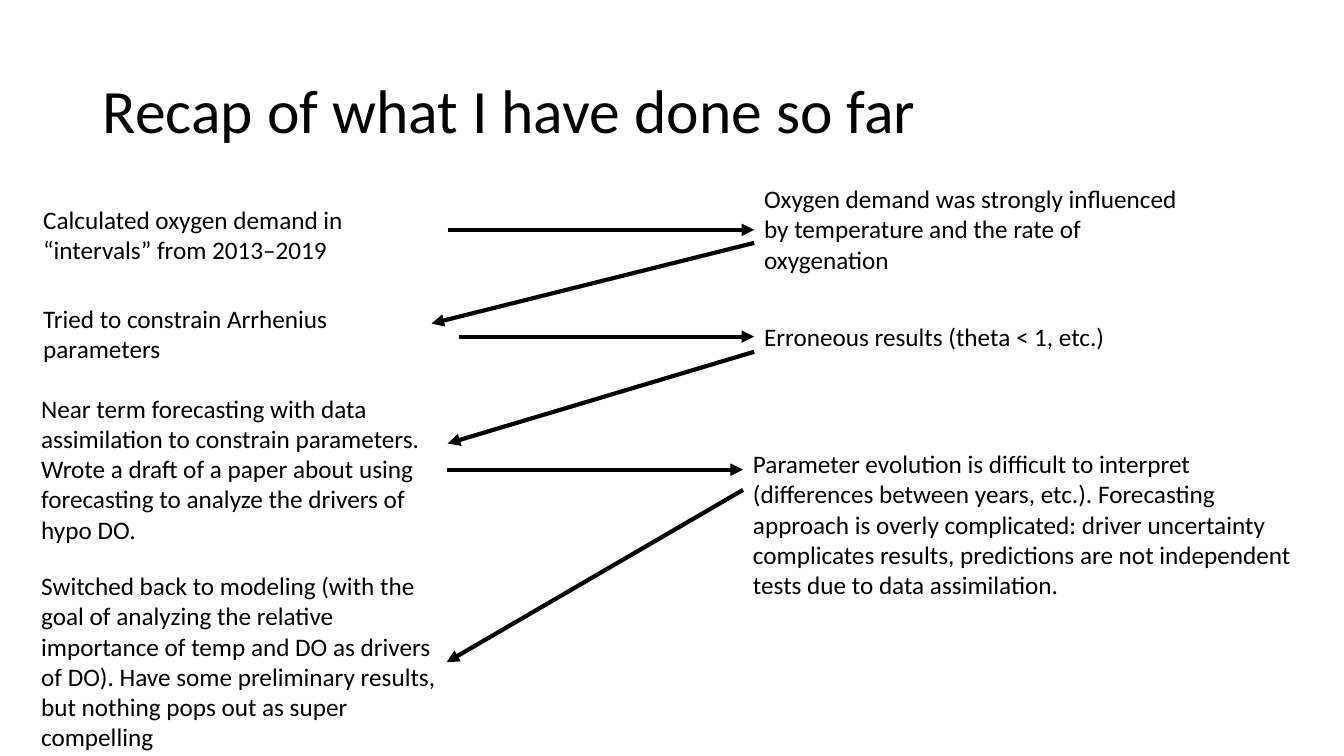
from lxml.etree import SubElement
from pptx import Presentation
from pptx.dml.color import RGBColor
from pptx.enum.shapes import MSO_CONNECTOR
from pptx.enum.text import MSO_ANCHOR, MSO_AUTO_SIZE, PP_ALIGN
from pptx.oxml.ns import qn
from pptx.util import Inches, Pt

COLORS = {"ink": "000000", "paper": "FFFFFF"}
LEFT, RIGHT = 1, 3
TITLE = "Recap of what I have done so far"
TITLE_FONT = {"name": "Calibri", "size": Pt(44), "bold": False}
BODY_FONT = {"name": "Calibri", "size": Pt(18)}

NOTES = {
    "demand": ((0.33, 1.98, 4.24, 0.71), True,
               "Calculated oxygen demand in “intervals” from 2013–2019"),
    "influence": ((7.48, 1.77, 4.48, 1.02), True,
                  "Oxygen demand was strongly influenced by temperature "
                  "and the rate of oxygenation"),
    "arrhenius": ((0.33, 2.96, 4.12, 0.71), True,
                  "Tried to constrain Arrhenius parameters"),
    "errors": ((7.48, 3.14, 3.62, 0.4), False,
               "Erroneous results (theta < 1, etc.)"),
    "forecast": ((0.31, 3.85, 4.12, 1.62), True,
                 "Near term forecasting with data assimilation to constrain "
                 "parameters. Wrote a draft of a paper about using forecasting "
                 "to analyze the drivers of hypo DO."),
    "evolution": ((7.37, 4.4, 5.76, 1.62), True,
                  "Parameter evolution is difficult to interpret (differences "
                  "between years, etc.). Forecasting approach is overly "
                  "complicated: driver uncertainty complicates results, "
                  "predictions are not independent tests due to data "
                  "assimilation."),
    "modeling": ((0.31, 5.61, 4.12, 1.92), True,
                 "Switched back to modeling (with the goal of analyzing the "
                 "relative importance of temp and DO as drivers of DO). Have "
                 "some preliminary results, but nothing pops out as super "
                 "compelling"),
}

ARROWS = [
    ((4.44, 2.28), (7.48, 2.28), None, "influence"),
    ((7.48, 2.41), (4.28, 3.21), None, None),
    ((4.55, 3.34), (7.48, 3.34), None, "errors"),
    ((7.48, 3.49), (4.44, 4.4), None, None),
    ((4.43, 4.66), (7.37, 4.66), "forecast", None),
    ((7.37, 4.86), (4.43, 6.57), None, "modeling"),
]


def write_text(tf, text, font):
    """Put one formatted run into a text frame and return its paragraph."""
    p = tf.paragraphs[0]
    r = p.add_run()
    r.text = text
    for key, value in font.items():
        setattr(r.font, key, value)
    r.font.color.rgb = RGBColor.from_string(COLORS["ink"])
    return p


def set_title(s, text):
    """Move and format the title placeholder."""
    sp = s.shapes.title
    sp.left, sp.top, sp.width, sp.height = map(Inches, (0.92, 0.4, 11.5, 1.45))
    tf = sp.text_frame
    tf.auto_size = MSO_AUTO_SIZE.NONE
    tf.vertical_anchor = MSO_ANCHOR.MIDDLE
    p = write_text(tf, text, TITLE_FONT)
    p.alignment = PP_ALIGN.LEFT
    p.line_spacing = 0.9


def add_note(s, box, wrap, text):
    """Add a text box that grows with its text."""
    sp = s.shapes.add_textbox(*map(Inches, box))
    tf = sp.text_frame
    tf.word_wrap = wrap
    tf.auto_size = MSO_AUTO_SIZE.SHAPE_TO_FIT_TEXT
    write_text(tf, text, BODY_FONT)
    return sp


def add_arrow(s, start, end, source, target):
    """Add an arrow, joined to the source's right or the target's facing side."""
    cxn = s.shapes.add_connector(MSO_CONNECTOR.STRAIGHT, *map(Inches, start + end))
    if source:
        cxn.begin_connect(source, RIGHT)
    if target:
        cxn.end_connect(target, LEFT if end[0] > start[0] else RIGHT)
    cxn.line.width = Pt(3)
    cxn.line.color.rgb = RGBColor.from_string(COLORS["ink"])
    SubElement(cxn.line._get_or_add_ln(), qn("a:tailEnd"), type="triangle")
    SubElement(cxn._element.spPr, qn("a:effectLst"))


def main():
    """Build the recap slide."""
    prs = Presentation()
    prs.slide_width, prs.slide_height = Inches(13.33), Inches(7.5)
    s = prs.slides.add_slide(prs.slide_layouts[5])
    s.background.fill.solid()
    s.background.fill.fore_color.rgb = RGBColor.from_string(COLORS["paper"])
    set_title(s, TITLE)
    notes = {name: add_note(s, *note) for name, note in NOTES.items()}
    for start, end, source, target in ARROWS:
        add_arrow(s, start, end, notes.get(source), notes.get(target))
    prs.save("out.pptx")


if __name__ == "__main__":
    main()
